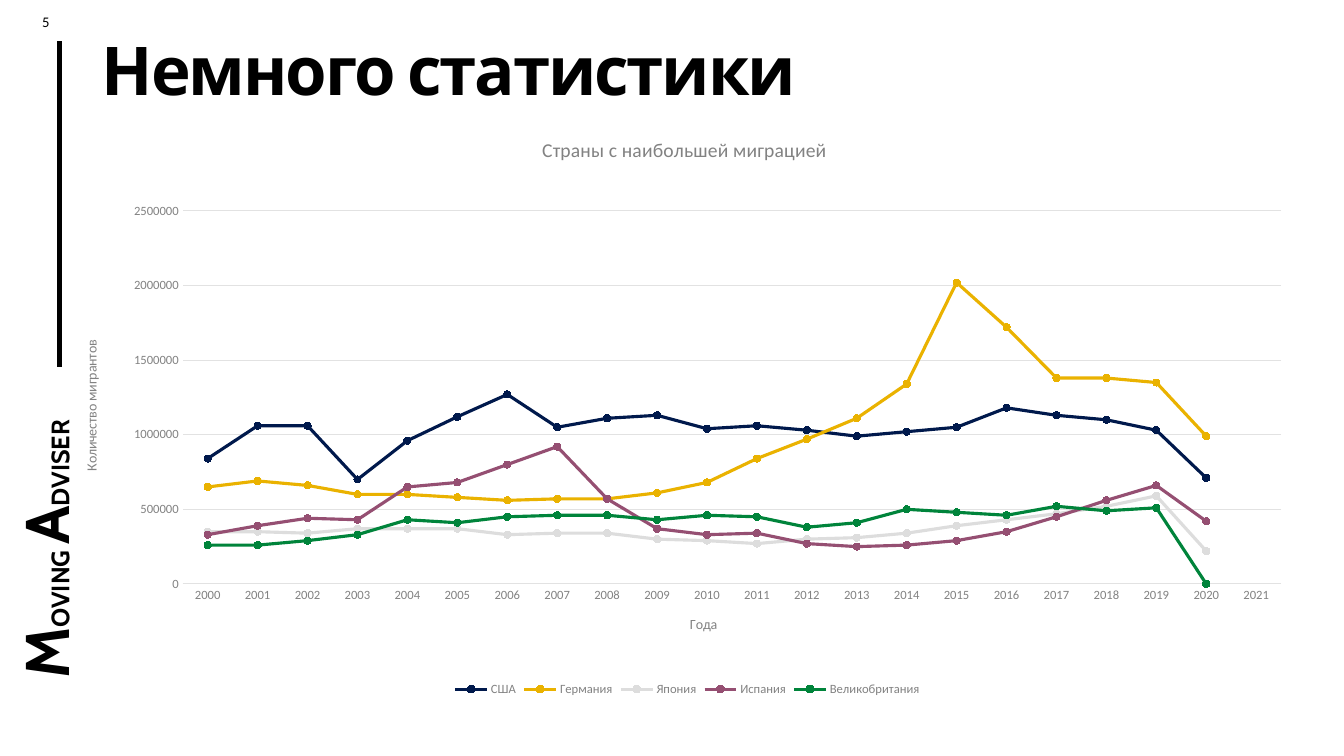
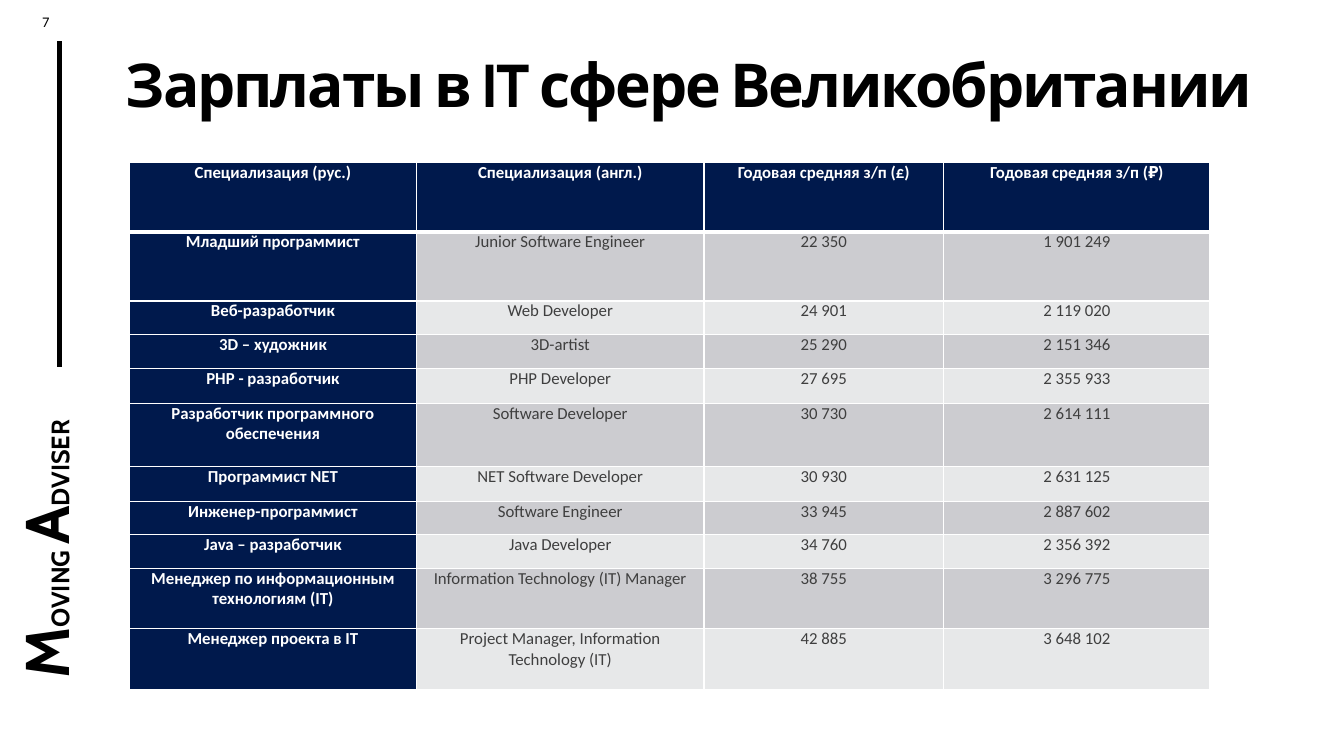
from dataclasses import dataclass
from typing import Any

from pptx import Presentation
from pptx.chart.data import CategoryChartData
from pptx.dml.color import RGBColor
from pptx.enum.chart import XL_CHART_TYPE, XL_LEGEND_POSITION, XL_MARKER_STYLE, XL_TICK_MARK
from pptx.enum.shapes import MSO_CONNECTOR
from pptx.enum.text import MSO_ANCHOR, MSO_AUTO_SIZE, PP_ALIGN
from pptx.oxml.ns import qn
from pptx.oxml.xmlchemy import OxmlElement
from pptx.util import Pt

COLORS = {
    "black": "000000",
    "white": "FFFFFF",
    "navy": "00194C",
    "gold": "EAB200",
    "silver": "DDDDDD",
    "plum": "954F72",
    "green": "00843B",
    "text": "3F3F3F",
    "label": "828282",
    "grid": "E2E2E2",
    "dark_band": "CCCCD0",
    "light_band": "E7E8E9",
}
HEADING_FONT = "Cabin"
BODY_FONT = "Calibri"
SIDE_LABEL_SPANS = (("M", 44), ("OVING ", 18), ("A", 44), ("DVISER", 18))


@dataclass(frozen=True)
class Frame:
    left: float
    top: float
    width: float
    height: float

    def lengths(self) -> tuple[Pt, Pt, Pt, Pt]:
        return Pt(self.left), Pt(self.top), Pt(self.width), Pt(self.height)


@dataclass(frozen=True)
class Country:
    name: str
    color: str
    thousands: tuple[int, ...]


@dataclass(frozen=True)
class Job:
    russian: str
    english: str
    pounds: str
    roubles: str
    height: float


COUNTRIES = (
    Country("США", "navy", (840, 1060, 1060, 700, 960, 1120, 1270, 1050, 1110, 1130, 1040,
                            1060, 1030, 990, 1020, 1050, 1180, 1130, 1100, 1030, 710)),
    Country("Германия", "gold", (650, 690, 660, 600, 600, 580, 560, 570, 570, 610, 680,
                                 840, 970, 1110, 1340, 2020, 1720, 1380, 1380, 1350, 990)),
    Country("Япония", "silver", (350, 350, 340, 370, 370, 370, 330, 340, 340, 300, 290,
                                 270, 300, 310, 340, 390, 430, 470, 520, 590, 220)),
    Country("Испания", "plum", (330, 390, 440, 430, 650, 680, 800, 920, 570, 370, 330,
                                340, 270, 250, 260, 290, 350, 450, 560, 660, 420)),
    Country("Великобритания", "green", (260, 260, 290, 330, 430, 410, 450, 460, 460, 430, 460,
                                        450, 380, 410, 500, 480, 460, 520, 490, 510, 0)),
)
YEARS = range(2000, 2022)

COLUMN_WIDTHS = (205.2, 205.2, 171.4, 190.1)
JOBS = (
    Job("Специализация (рус.)", "Специализация (англ.)",
        "Годовая средняя з/п (£)", "Годовая средняя з/п (₽)", 49.5),
    Job("Младший программист", "Junior Software Engineer", "22 350", "1 901 249", 49.5),
    Job("Веб-разработчик", "Web Developer", "24 901", "2 119 020", 24),
    Job("3D – художник", "3D-artist", "25 290", "2 151 346", 24.5),
    Job("PHP - разработчик", "PHP Developer", "27 695", "2 355 933", 24.5),
    Job("Разработчик программного обеспечения", "Software Developer",
        "30 730", "2 614 111", 45.5),
    Job("Программист NET", "NET Software Developer", "30 930", "2 631 125", 24.5),
    Job("Инженер-программист", "Software Engineer", "33 945", "2 887 602", 24),
    Job("Java – разработчик", "Java Developer", "34 760", "2 356 392", 24),
    Job("Менеджер по информационным технологиям (IT)",
        "Information Technology (IT) Manager", "38 755", "3 296 775", 43.2),
    Job("Менеджер проекта в IT", "Project Manager, Information Technology (IT)",
        "42 885", "3 648 102", 43.2),
)


def rgb(name: str) -> RGBColor:
    return RGBColor.from_string(COLORS[name])


def style_font(font: Any, size: float, color: str, name: str = BODY_FONT,
               bold: bool = False) -> None:
    font.size = Pt(size)
    font.name = name
    font.bold = bold
    font.color.rgb = rgb(color)


def add_side_label(page: Any) -> None:
    box = page.shapes.add_textbox(*Frame(-110.9, 315.4, 285.8, 56.2).lengths())
    box.rotation = 270
    frame = box.text_frame
    frame.word_wrap = True
    frame.vertical_anchor = MSO_ANCHOR.MIDDLE
    frame.margin_left = frame.margin_right = frame.margin_top = frame.margin_bottom = Pt(1.5)
    for text, size in SIDE_LABEL_SPANS:
        span = frame.paragraphs[0].add_run()
        span.text = text
        style_font(span.font, size, "black", HEADING_FONT, True)


def add_side_rule(page: Any) -> None:
    rule = page.shapes.add_connector(MSO_CONNECTOR.STRAIGHT, Pt(42.5), Pt(262), Pt(42.5), Pt(29.5))
    rule.line.color.rgb = rgb("black")
    rule.line.width = Pt(3)
    rule.element.spPr.append(OxmlElement("a:effectLst"))


def add_page_number(page: Any, number: int) -> None:
    box = page.shapes.add_textbox(*Frame(12.2, 5.8, 41, 19.4).lengths())
    box.text_frame.word_wrap = True
    para = box.text_frame.paragraphs[0]
    para.text = str(number)
    para.alignment = PP_ALIGN.CENTER
    style_font(para.runs[0].font, 10.5, "black")


def add_page(deck: Any, number: int, title: str, title_frame: Frame, title_size: float) -> Any:
    page = deck.slides.add_slide(deck.slide_layouts[5])
    add_side_label(page)
    add_side_rule(page)
    add_page_number(page, number)
    box = page.shapes.title
    box.left, box.top, box.width, box.height = title_frame.lengths()
    frame = box.text_frame
    frame.text = title
    frame.word_wrap = True
    frame.auto_size = MSO_AUTO_SIZE.NONE
    frame.vertical_anchor = MSO_ANCHOR.BOTTOM
    para = frame.paragraphs[0]
    para.alignment = PP_ALIGN.LEFT
    para.line_spacing = 0.9
    span = para.runs[0]
    style_font(span.font, title_size, "black", HEADING_FONT, True)
    span.font._element.set("spc", "-150")
    return page


def place_chart_part(parent: Any, index: int, settings: dict[str, str | float]) -> None:
    for old in parent.findall(qn("c:layout")):
        parent.remove(old)
    layout = OxmlElement("c:layout")
    manual = OxmlElement("c:manualLayout")
    for name, value in settings.items():
        setting = OxmlElement(f"c:{name}")
        setting.set("val", str(value))
        manual.append(setting)
    layout.append(manual)
    parent.insert(index, layout)


def write_chart_title(title: Any, text: str, size: float, x: float, y: float) -> None:
    title.text_frame.text = text
    style_font(title.text_frame.paragraphs[0].runs[0].font, size, "label")
    place_chart_part(title.element, 1, {"xMode": "edge", "yMode": "edge", "x": x, "y": y})


def style_axis(axis: Any, title: str, x: float, y: float) -> None:
    axis.major_tick_mark = axis.minor_tick_mark = XL_TICK_MARK.NONE
    style_font(axis.tick_labels.font, 9, "label")
    write_chart_title(axis.axis_title, title, 10, x, y)


def style_line(line: Any, color: str, width: float) -> None:
    line.color.rgb = rgb(color)
    line.width = Pt(width)


def add_migration_chart(page: Any) -> None:
    data = CategoryChartData(number_format="General")
    data.categories = [str(year) for year in YEARS]
    for country in COUNTRIES:
        values = [value * 1000 for value in country.thousands]
        data.add_series(country.name, values + [None] * (len(YEARS) - len(values)))
    frame = Frame(48.2, 82.1, 885.6, 418.3)
    chart = page.shapes.add_chart(XL_CHART_TYPE.LINE_MARKERS, *frame.lengths(), data).chart
    style_font(chart.font, 10, "text")
    chart.has_title = True
    write_chart_title(chart.chart_title, "Страны с наибольшей миграцией", 14, 0.38, 0.03)
    chart.has_legend = True
    chart.legend.position = XL_LEGEND_POSITION.BOTTOM
    chart.legend.include_in_layout = False
    style_font(chart.legend.font, 9, "label")

    years, people = chart.category_axis, chart.value_axis
    style_axis(years, "Года", 0.5, 0.85)
    style_line(years.format.line, "grid", 0.75)
    style_axis(people, "Количество мигрантов", 0.01, 0.38)
    body = people.axis_title.element.find(".//" + qn("a:bodyPr"))
    body.set("rot", "-5400000")
    body.set("vert", "horz")
    people.minimum_scale, people.maximum_scale, people.major_unit = 0, 2500000, 500000
    people.format.line.fill.background()
    people.has_major_gridlines = True
    style_line(people.major_gridlines.format.line, "grid", 0.75)

    chart.plots[0].vary_by_categories = False
    for series, country in zip(chart.plots[0].series, COUNTRIES):
        series.smooth = False
        style_line(series.format.line, country.color, 2.25)
        marker = series.marker
        marker.style = XL_MARKER_STYLE.CIRCLE
        marker.size = 5
        marker.format.fill.solid()
        marker.format.fill.fore_color.rgb = rgb(country.color)
        style_line(marker.format.line, country.color, 0.75)
    plot_area = chart.element.find(".//" + qn("c:plotArea"))
    place_chart_part(plot_area, 0, {
        "layoutTarget": "inner", "xMode": "edge", "yMode": "edge",
        "x": 0.093, "y": 0.164, "w": 0.886, "h": 0.637,
    })


def add_border(cell: Any, side: str, width: float) -> None:
    border = OxmlElement(f"a:ln{side}")
    border.set("w", str(int(Pt(width))))
    fill = OxmlElement("a:solidFill")
    color = OxmlElement("a:srgbClr")
    color.set("val", COLORS["white"])
    fill.append(color)
    border.append(fill)
    cell._tc.get_or_add_tcPr().append(border)


def fill_cell(cell: Any, text: str, row: int, column: int) -> None:
    is_heading = row == 0 or column == 0
    band = "dark_band" if row % 2 else "light_band"
    for side in "LRTB":
        thick = (row, side) in ((0, "B"), (1, "T"))
        add_border(cell, side, 3 if thick else 1)
    cell.fill.solid()
    cell.fill.fore_color.rgb = rgb("navy" if is_heading else band)
    cell.margin_left = cell.margin_right = Pt(5)
    cell.margin_top = cell.margin_bottom = Pt(0)
    para = cell.text_frame.paragraphs[0]
    para.text = text
    para.alignment = PP_ALIGN.CENTER
    style_font(para.runs[0].font, 12, "white" if is_heading else "text", bold=is_heading)


def add_salary_table(page: Any) -> None:
    frame = Frame(92.4, 116, sum(COLUMN_WIDTHS), sum(job.height for job in JOBS))
    table = page.shapes.add_table(len(JOBS), len(COLUMN_WIDTHS), *frame.lengths()).table
    for column, width in zip(table.columns, COLUMN_WIDTHS):
        column.width = Pt(width)
    for row, job in enumerate(JOBS):
        table.rows[row].height = Pt(job.height)
        for column, text in enumerate((job.russian, job.english, job.pounds, job.roubles)):
            fill_cell(table.cell(row, column), text, row, column)


def main() -> None:
    deck = Presentation()
    deck.slide_width, deck.slide_height = Pt(960), Pt(540)
    statistics = add_page(deck, 5, "Немного статистики", Frame(65.5, 19.4, 520, 62.6), 48)
    add_migration_chart(statistics)
    salaries = add_page(deck, 7, "Зарплаты в IT сфере Великобритании",
                        Frame(82.8, 19.4, 823, 70.6), 43.2)
    add_salary_table(salaries)
    deck.save("out.pptx")


if __name__ == "__main__":
    main()
